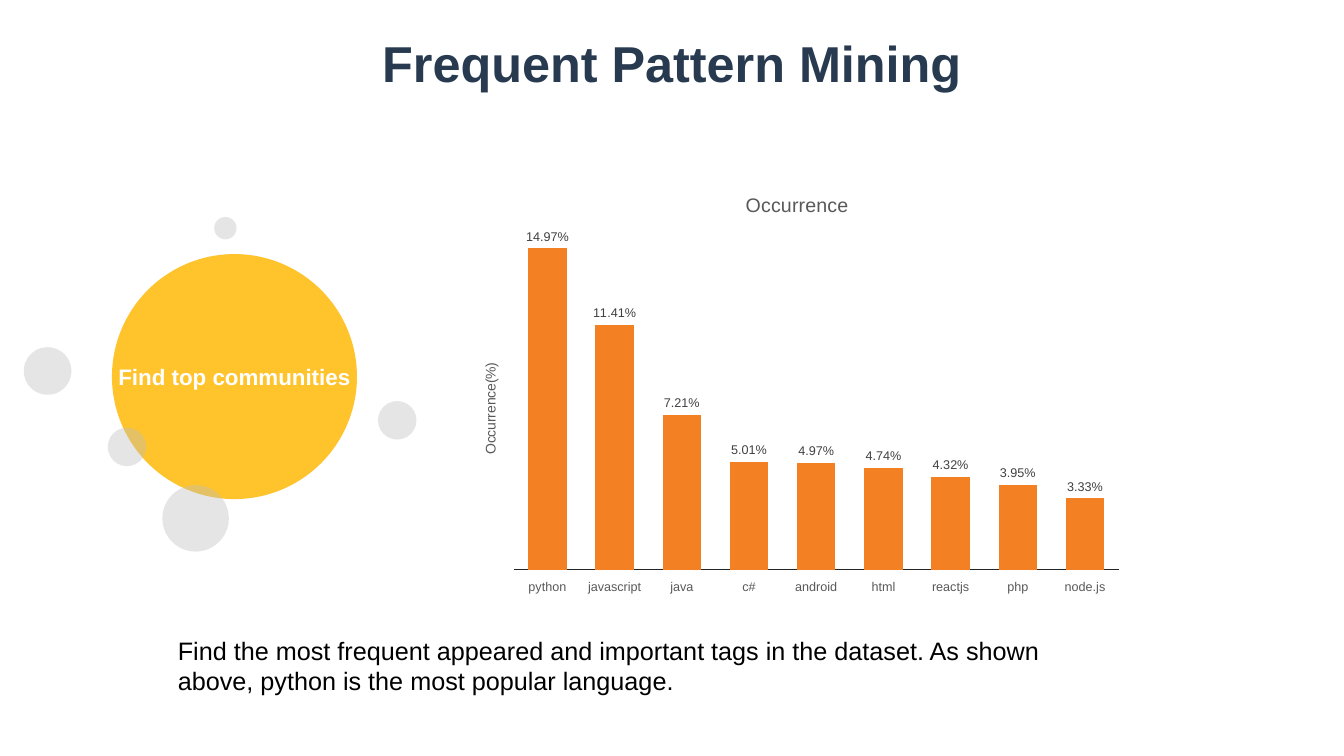
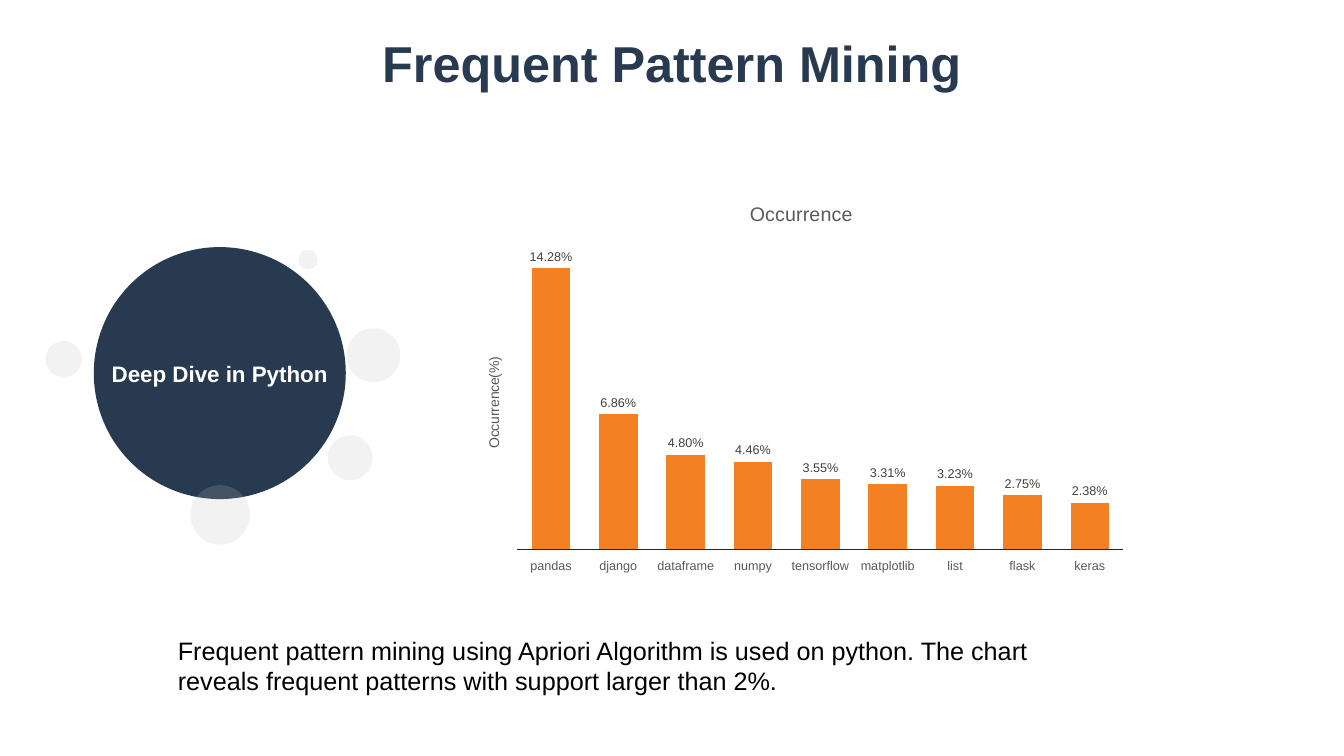
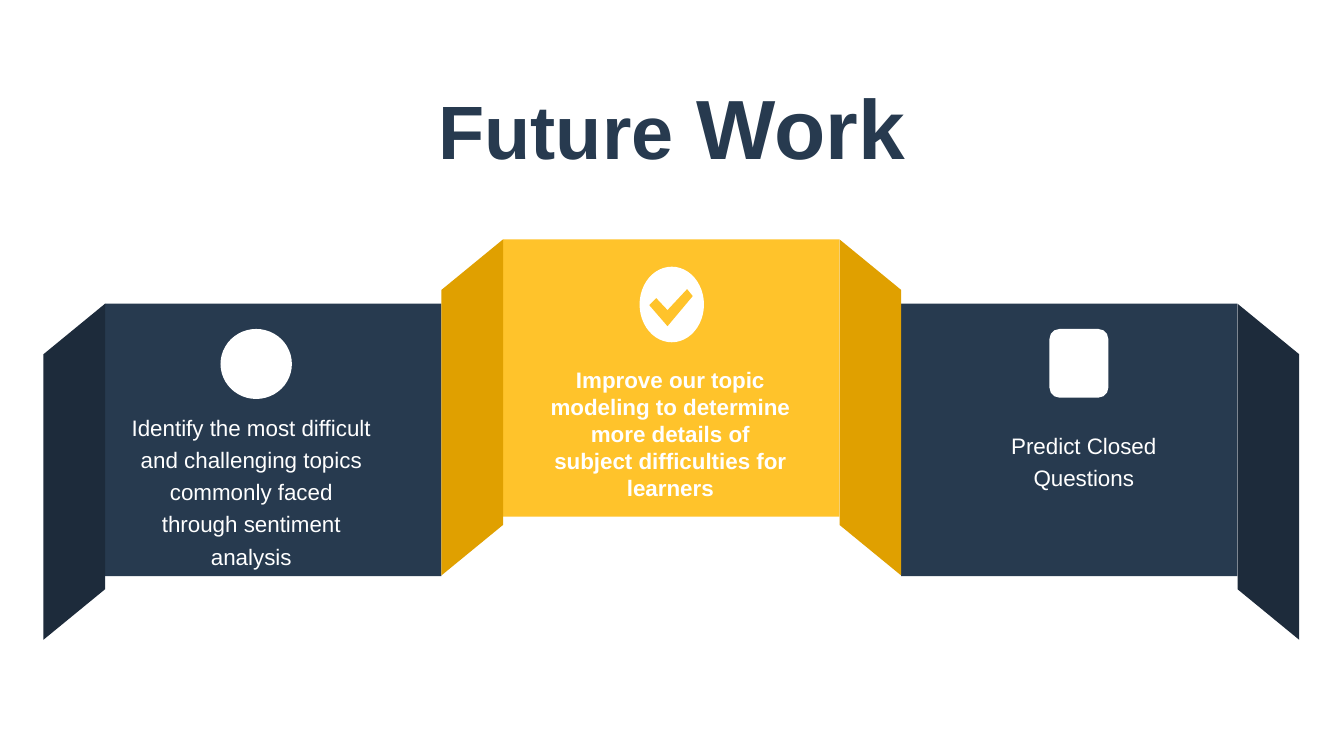
from dataclasses import dataclass
from lxml.etree import SubElement
from pptx import Presentation
from pptx.chart.data import CategoryChartData
from pptx.dml.color import RGBColor
from pptx.enum.chart import XL_CHART_TYPE as ChartType, XL_LABEL_POSITION as LabelPos, XL_TICK_LABEL_POSITION as TickPos, XL_TICK_MARK as Tick
from pptx.enum.shapes import MSO_SHAPE as Shape
from pptx.enum.text import MSO_ANCHOR as Anchor, PP_ALIGN as Align
from pptx.oxml import parse_xml
from pptx.oxml.ns import nsdecls, qn
from pptx.util import Pt


@dataclass(frozen=True)
class Theme:
    """Colours, font and type sizes of the deck."""
    navy: str = "273A4F"
    navy_dark: str = "1D2B3B"
    gold: str = "FFC32B"
    gold_dark: str = "E0A000"
    bar: str = "F48024"
    bubble: str = "BFBFBF"
    axis: str = "222426"
    chart_text: str = "595959"
    value_text: str = "404040"
    white: str = "FFFFFF"
    black: str = "000000"
    font: str = "Arial"
    title: int = 36
    closing_small: int = 54
    closing_large: int = 60
    body: int = 18
    label: int = 16
    chart_title: int = 14
    axis_title: int = 10
    tick: int = 9


THEME = Theme()
SLIDE_W, SLIDE_H = 960, 540


def style(font, size, color, bold=False):
    """Set face, size, colour and weight of a font."""
    font.name, font.size, font.bold = THEME.font, Pt(size), bold
    font.color.rgb = RGBColor.from_string(color)


def paint(shape, color, alpha=None):
    """Fill a shape flat, without outline or shadow."""
    shape.shadow.inherit = False
    shape.fill.solid()
    shape.fill.fore_color.rgb = RGBColor.from_string(color)
    shape.line.fill.background()
    if alpha:
        tint = shape.fill._xPr.find(qn("a:solidFill"))[0]
        SubElement(tint, qn("a:alpha"), val=str(alpha * 1000))
    return shape


def add_preset(slide, preset, box, color, alpha=None):
    """Draw a flat preset shape in a box given in points."""
    return paint(slide.shapes.add_shape(preset, *map(Pt, box)), color, alpha)


def fill_text(frame, runs, size, color, bold=False, align=Align.CENTER, spacing=None):
    """Write one paragraph made of the given runs."""
    paragraph = frame.paragraphs[0]
    paragraph.alignment = align
    if spacing:
        paragraph.line_spacing = spacing
    for words in runs:
        paragraph.add_run().text = words
    style(paragraph.font, size, color, bold)
    return paragraph


def clear_margins(frame):
    """Remove the insets and centre the text vertically."""
    frame.margin_left = frame.margin_right = frame.margin_top = frame.margin_bottom = 0
    frame.vertical_anchor = Anchor.MIDDLE


def add_text(slide, box, runs, size, color, wrap=True, **options):
    """Place a text box and return its frame and paragraph."""
    frame = slide.shapes.add_textbox(*map(Pt, box)).text_frame
    frame.word_wrap = wrap
    return frame, fill_text(frame, runs, size, color, **options)


def add_topic(slide, box, words, color, bubbles, alpha):
    """Draw the topic circle with its satellite bubbles, offset from the box."""
    left, top, *_ = box
    circle = add_preset(slide, Shape.OVAL, box, color)
    clear_margins(circle.text_frame)
    circle.text_frame.word_wrap = False
    fill_text(circle.text_frame, [words], THEME.label, THEME.white, bold=True)
    for dx, dy, size in bubbles:
        add_preset(slide, Shape.OVAL, (left + dx, top + dy, size, size), THEME.bubble, alpha)


def set_layout(parent, follows, x, y, w=None, h=None):
    """Fix the place of a chart part in fractions of the chart."""
    sizes = "" if w is None else f'<c:w val="{w:.4f}"/><c:h val="{h:.4f}"/>'
    target = "" if w is None else '<c:layoutTarget val="inner"/>'
    for old in parent.findall(qn("c:layout")):
        parent.remove(old)
    layout = parse_xml(
        f'<c:layout {nsdecls("c")}><c:manualLayout>{target}<c:xMode val="edge"/>'
        f'<c:yMode val="edge"/><c:x val="{x:.4f}"/><c:y val="{y:.4f}"/>{sizes}'
        "</c:manualLayout></c:layout>")
    before = parent.find(qn(follows)) if follows else None
    parent.insert(0 if before is None else parent.index(before) + 1, layout)


def add_occurrence_chart(slide, box, shares):
    """Draw the column chart of tag shares in the box."""
    *_, width, height = box
    data = CategoryChartData(number_format="0.00%")
    data.categories = list(shares)
    data.add_series("Series 1", [share / 100 for share in shares.values()])
    chart = slide.shapes.add_chart(ChartType.COLUMN_CLUSTERED, *map(Pt, box), data).chart
    chart.has_legend = False
    style(chart.font, THEME.axis_title, THEME.black)

    fill_text(chart.chart_title.text_frame, ["Occurrence"], THEME.chart_title, THEME.chart_text)
    tags, values = chart.category_axis, chart.value_axis
    tags.major_tick_mark = tags.minor_tick_mark = Tick.NONE
    tags.tick_label_position = TickPos.LOW
    tags.format.line.color.rgb = RGBColor.from_string(THEME.axis)
    tags.format.line.width = Pt(0.75)
    style(tags.tick_labels.font, THEME.tick, THEME.chart_text)
    values.minimum_scale, values.maximum_scale = 0, 0.16
    values.has_major_gridlines = False
    fill_text(values.axis_title.text_frame, ["Occurrence(%)"], THEME.axis_title, THEME.chart_text)
    values.axis_title.text_frame._txBody.bodyPr.set("rot", "-5400000")
    values.axis_title.text_frame._txBody.bodyPr.set("vert", "horz")
    values.visible = False

    plot = chart.plots[0]
    plot.gap_width, plot.vary_by_categories = 75, False
    series = plot.series[0]
    series.format.fill.solid()
    series.format.fill.fore_color.rgb = RGBColor.from_string(THEME.bar)
    plot.has_data_labels = True
    labels = plot.data_labels
    labels.show_value, labels.position = True, LabelPos.OUTSIDE_END
    labels.number_format, labels.number_format_is_linked = "0.00%", False
    style(labels.font, THEME.tick, THEME.value_text)

    left, top, right, bottom = 41, 40, 9, 20
    plot_h = height - top - bottom
    set_layout(chart._chartSpace.chart.plotArea, None, left / width, top / height,
               (width - left - right) / width, plot_h / height)
    set_layout(chart.chart_title._element, "c:tx", 0.5 - 37 / width, 13.5 / height)
    set_layout(values.axis_title._element, "c:tx", 16 / width, (top + plot_h / 2 - 27) / height)


def build_mining_slide(slide, topic, chart_box, shares, finding):
    """Build a pattern mining slide: title, topic, chart and finding."""
    add_topic(slide, *topic)
    add_text(slide, (263.5, 19.5, 433, 51), ["Frequent Pattern Mining"], THEME.title,
             THEME.navy, wrap=False, bold=True)
    add_occurrence_chart(slide, chart_box, shares)
    add_text(slide, (120, 450, 679, 51), [finding], THEME.body, THEME.black, align=Align.LEFT)


def add_fold(slide, box, color, leftward):
    """Draw a folded ribbon side that drops to the left or to the right."""
    left, top, width, height = box
    shift = (height - width) / 2
    fold = add_preset(slide, Shape.PARALLELOGRAM, (left - shift, top + shift, height, width), color)
    fold.adjustments[0] = 0.82
    fold.rotation = 270 if leftward else 90
    if leftward:
        fold._element.spPr.xfrm.set("flipV", "1")


def add_check(slide, left, top, color):
    """Draw a check mark at a corner given in points."""
    corners = [(7, 27.5), (12, 22.5), (20, 31), (34, 16), (38, 21), (20, 42.5)]
    start, *others = [(Pt(left + x), Pt(top + y)) for x, y in corners]
    outline = slide.shapes.build_freeform(*start)
    outline.add_line_segments(others, close=True)
    paint(outline.convert_to_shape(), color)


def add_panel(slide, box, color, icon, icon_box, words, words_at, bold, spacing):
    """Draw a ribbon panel with icon and text offset from its corner."""
    left, top, *_ = box
    add_preset(slide, Shape.RECTANGLE, box, color)
    dx, dy, width, height = icon_box
    add_preset(slide, icon, (left + dx, top + dy, width, height), THEME.white)
    if bold:
        add_check(slide, left + dx, top + dy, color)
    dx, dy = words_at
    frame, _ = add_text(slide, (left + dx, top + dy, 172, 62.5), [words], THEME.label,
                        THEME.white, bold=bold, spacing=spacing)
    clear_margins(frame)


def build_future_slide(slide, box):
    """Build the closing slide: a folded ribbon of three plans in the box."""
    left, top, width, height = box
    fold_w, fold_h, drop = 44, 240, 46
    panel_w = (width - 4 * fold_w) / 3
    plans = [
        (drop, 194.5, THEME.navy, Shape.OVAL, (82.5, 18, 51, 50),
         "Identify the most difficult and challenging topics commonly faced through sentiment analysis",
         (18.5, 101), False, 1.2),
        (0, 198, THEME.gold, Shape.OVAL, (97.5, 19.5, 46, 54),
         "Improve our topic modeling to determine more details of subject difficulties for learners",
         (33.5, 107.5), True, None),
        (drop, 194.5, THEME.navy, Shape.ROUNDED_RECTANGLE, (106, 18, 42, 49),
         "Predict Closed Questions", (44.5, 79.5), False, 1.2),
    ]
    for column, (dy, panel_h, *content) in enumerate(plans):
        panel_left = left + fold_w + column * (panel_w + fold_w)
        add_panel(slide, (panel_left, top + dy, panel_w, panel_h), *content)
    folds = [(drop, THEME.navy_dark, True), (0, THEME.gold_dark, True),
             (0, THEME.gold_dark, False), (drop, THEME.navy_dark, False)]
    for column, (dy, color, leftward) in enumerate(folds):
        fold_left = left + column * (panel_w + fold_w)
        add_fold(slide, (fold_left, top + dy, fold_w, fold_h), color, leftward)
    _, heading = add_text(slide, (304.5, 50.5, 351, 80), ["Future", " Work"],
                          THEME.closing_small, THEME.navy, wrap=False, bold=True)
    heading.runs[1].font.size = Pt(THEME.closing_large)


def main():
    """Build and save the deck."""
    deck = Presentation()
    deck.slide_width, deck.slide_height = Pt(SLIDE_W), Pt(SLIDE_H)
    communities, python, future = (deck.slides.add_slide(deck.slide_layouts[6]) for _ in range(3))
    build_mining_slide(
        communities,
        ((80, 181.5, 175, 175), "Find top communities", THEME.gold,
         [(190, 105, 27.5), (-3, 124, 27.5), (36, 165, 47.5), (73, -26.5, 16), (-63, 66.5, 34)], 40),
        (326, 121.5, 482, 305.5),
        {"python": 14.97, "javascript": 11.41, "java": 7.21, "c#": 5.01, "android": 4.97,
         "html": 4.74, "reactjs": 4.32, "php": 3.95, "node.js": 3.33},
        "Find the most frequent appeared and important tags in the dataset. "
        "As shown above, python is the most popular language.")
    build_mining_slide(
        python,
        ((67, 176.5, 180, 180), "Deep Dive in Python", THEME.navy,
         [(-34.5, 67, 26), (69, 170, 42.5), (146, 2, 14), (167, 134.5, 32), (180.5, 58, 38.5)], 20),
        (328.5, 127.5, 483, 285),
        {"pandas": 14.28, "django": 6.86, "dataframe": 4.8, "numpy": 4.46, "tensorflow": 3.55,
         "matplotlib": 3.31, "list": 3.23, "flask": 2.75, "keras": 2.38},
        "Frequent pattern mining using Apriori Algorithm is used on python. "
        "The chart reveals frequent patterns with support larger than 2%.")
    build_future_slide(future, (31, 171, 897, 286))
    deck.save("out.pptx")


if __name__ == "__main__":
    main()
